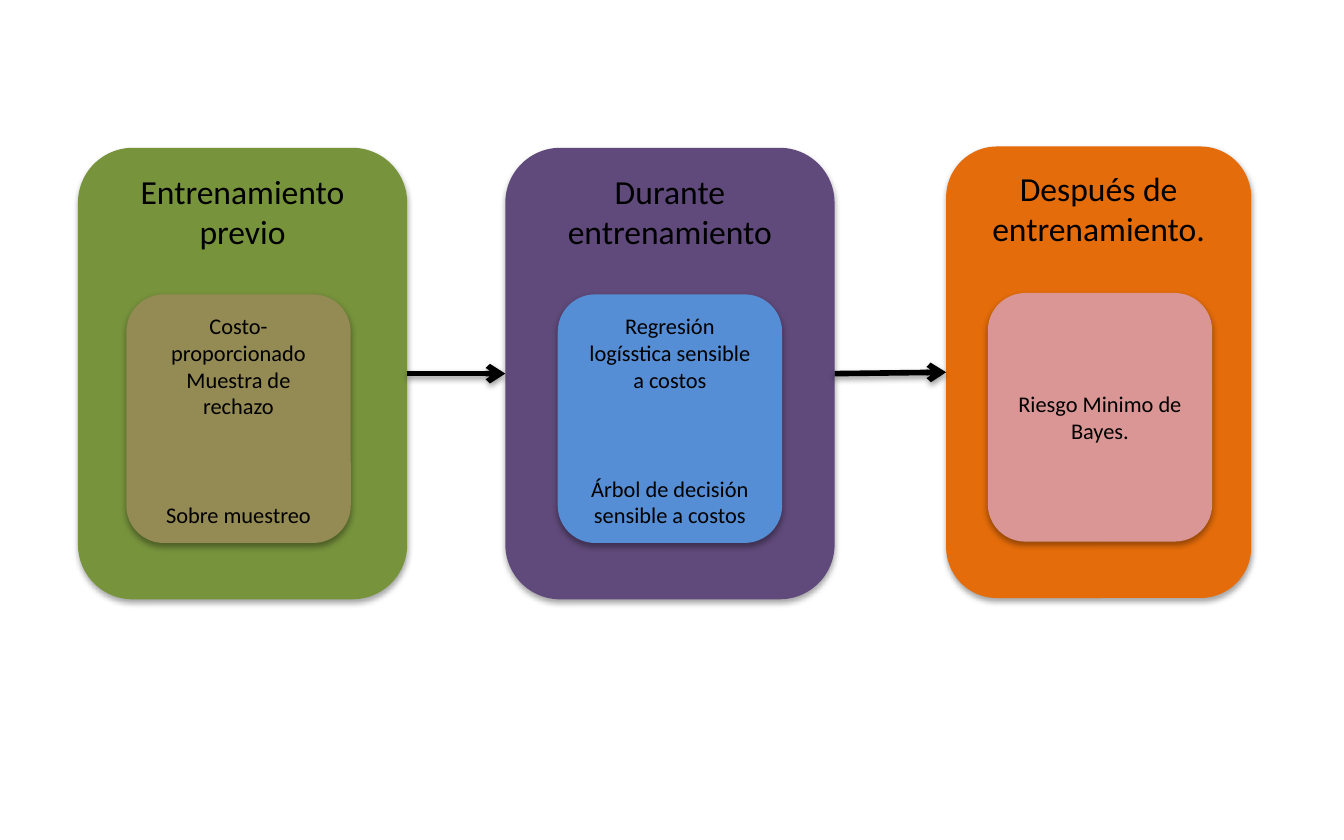
from lxml import etree
from pptx import Presentation
from pptx.dml.color import RGBColor
from pptx.enum import shapes, text
from pptx.oxml import ns
from pptx.util import Inches, Pt

BLACK = RGBColor(0x00, 0x00, 0x00)
GREEN = RGBColor(0x77, 0x93, 0x3C)
PURPLE = RGBColor(0x60, 0x4A, 0x7B)
ORANGE = RGBColor(0xE4, 0x6C, 0x0A)
KHAKI = RGBColor(0x94, 0x8A, 0x54)
BLUE = RGBColor(0x55, 0x8E, 0xD5)
PINK = RGBColor(0xD9, 0x96, 0x94)

TOP, MID = text.MSO_ANCHOR.TOP, text.MSO_ANCHOR.MIDDLE
GAP = Pt(44)

# Panel: title, colour, box; card: colour, left offset, anchor,
# and lines as (words, space before)
STAGES = [
    ("Entrenamiento previo", GREEN, (0.58, 1.1, 2.45, 3.36),
     KHAKI, 0.36, TOP,
     [("Costo- proporcionado", 0), ("Muestra de rechazo", 0),
      ("Sobre muestreo", GAP)]),
    ("Durante entrenamiento", PURPLE, (3.76, 1.1, 2.45, 3.36),
     BLUE, 0.39, TOP,
     [("Regresión logísstica sensible a costos", 0),
      ("Árbol de decisión sensible a costos", GAP)]),
    ("Después de entrenamiento.", ORANGE, (7.04, 1.09, 2.27, 3.36),
     PINK, 0.31, MID,
     [("Riesgo Minimo de Bayes.", 0)]),
]


def add_box(slide, box, fill, lines, size, anchor):
    """Rounded box with centred text; its soft shadow comes from the theme."""
    shape = slide.shapes.add_shape(
        shapes.MSO_SHAPE.ROUNDED_RECTANGLE, *(Inches(n) for n in box))
    shape.fill.solid()
    shape.fill.fore_color.rgb = fill
    shape.line.fill.background()
    frame = shape.text_frame
    frame.word_wrap = True
    frame.vertical_anchor = anchor
    for i, (words, space) in enumerate(lines):
        para = frame.add_paragraph() if i else frame.paragraphs[0]
        para.alignment = text.PP_ALIGN.CENTER
        para.space_before = space
        run = para.add_run()
        run.text = words
        for key, value in {"name": "Calibri", "size": Pt(size)}.items():
            setattr(run.font, key, value)
        run.font.color.rgb = BLACK
    return shape


def add_stage(slide, title, fill, box, tint, shift, anchor, lines):
    """Panel with a title and an inner card placed relative to its box."""
    left, top = box[:2]
    panel = add_box(slide, box, fill, [(title, 0)], 18, TOP)
    add_box(slide, (left + shift, top + 1.09, 1.67, 1.85),
            tint, lines, 12, anchor)
    return panel


def add_arrow(slide, start, end):
    """Arrow from the right side of one panel to the left of the next."""
    arrow = slide.shapes.add_connector(
        shapes.MSO_CONNECTOR.STRAIGHT, 0, 0, 0, 0)
    arrow.begin_connect(start, 3)
    arrow.end_connect(end, 1)
    arrow.line.color.rgb = BLACK
    arrow.line.width = Pt(3)
    etree.SubElement(arrow.line._get_or_add_ln(),
                     ns.qn("a:tailEnd"), type="arrow")


def main():
    deck = Presentation()
    deck.slide_width, deck.slide_height = Inches(10), Inches(6.25)
    slide = deck.slides.add_slide(deck.slide_layouts[6])
    panels = [add_stage(slide, *stage) for stage in STAGES]
    for start, end in zip(panels, panels[1:]):
        add_arrow(slide, start, end)
    deck.save("out.pptx")


if __name__ == "__main__":
    main()
